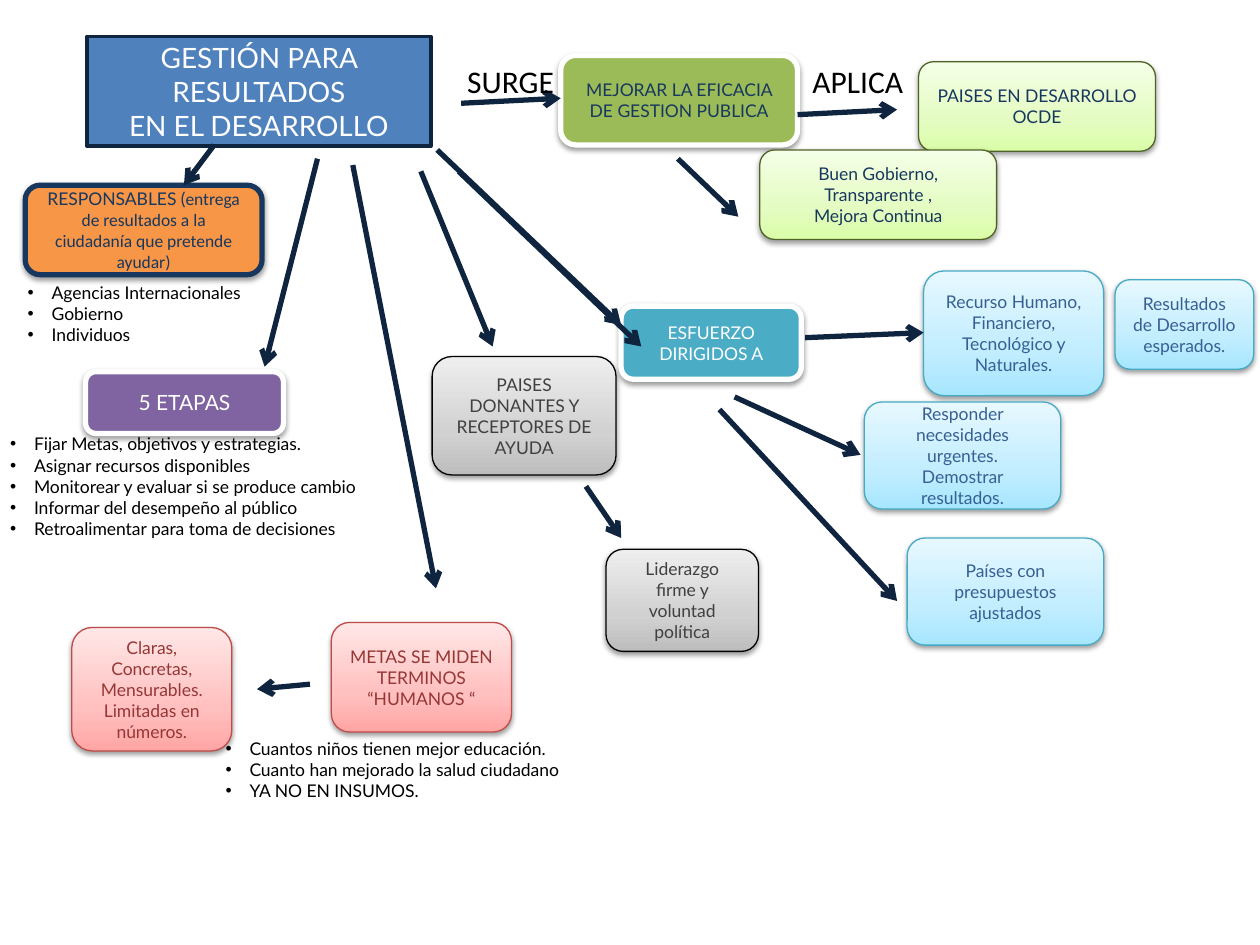
from copy import deepcopy
from dataclasses import dataclass
from typing import NamedTuple

from lxml import etree
from pptx import Presentation
from pptx.dml.color import RGBColor
from pptx.enum.dml import MSO_LINE
from pptx.enum.shapes import MSO_CONNECTOR, MSO_SHAPE
from pptx.enum.text import MSO_ANCHOR, MSO_AUTO_SIZE, PP_ALIGN
from pptx.oxml import parse_xml
from pptx.oxml.ns import nsdecls, qn
from pptx.util import Inches, Pt

ROUNDED = MSO_SHAPE.ROUNDED_RECTANGLE
STRAIGHT = MSO_CONNECTOR.STRAIGHT
SOLID = MSO_LINE.SOLID
MIDDLE, TOP = MSO_ANCHOR.MIDDLE, MSO_ANCHOR.TOP
NO_FIT = MSO_AUTO_SIZE.NONE
CENTER, LEFT = PP_ALIGN.CENTER, PP_ALIGN.LEFT
COMPARISON_LAYOUT = 4


class Style(NamedTuple):
    fill: tuple[str, ...]
    line: str
    width: float
    text: str


@dataclass(frozen=True)
class Theme:
    font: str = "Lato"
    alt_font: str = "Calibri"
    title_size: float = 16
    label_size: float = 18
    stage_size: float = 12
    body_size: float = 10
    ink: str = "000000"
    arrow: str = "0F243E"
    arrow_width: float = 3
    stops: tuple[int, ...] = (0, 35, 100)
    title: Style = Style(("4F81BD",), "0F243E", 2, "FFFFFF")
    orange: Style = Style(("F79646",), "17375E", 3, "17375E")
    olive: Style = Style(("9BBB59",), "FFFFFF", 3, "17375E")
    purple: Style = Style(("8064A2",), "FFFFFF", 3, "FFFFFF")
    teal: Style = Style(("4BACC6",), "FFFFFF", 3, "FFFFFF")
    green: Style = Style(("DAFDA7", "E4FCC2", "F5FFE7"), "4F6228", 0.75, "17375E")
    blue: Style = Style(("A7E6FF", "C1EDFF", "E7F8FF"), "46AAC5", 0.75, "376092")
    red: Style = Style(("FFA6A5", "FFC0BF", "FFE7E7"), "BF4C48", 0.75, "953735")
    gray: Style = Style(("BDBDBD", "D1D1D1", "EEEEEE"), "000000", 0.75, "404040")


T = Theme()


class Box(NamedTuple):
    x: float
    y: float
    w: float
    h: float


class Node(NamedTuple):
    box: Box
    style: Style
    lines: tuple[str, ...]
    size: float = T.body_size


class Arrow(NamedTuple):
    x1: float
    y1: float
    x2: float
    y2: float


class BulletList(NamedTuple):
    idx: int
    box: Box
    items: tuple[str, ...]


TITLE = Node(Box(0.69, 0.29, 2.73, 0.87), T.title,
             ("GESTIÓN PARA RESULTADOS", "EN EL DESARROLLO"), T.title_size)
RESPONSIBLE = Node(Box(0.2, 1.47, 1.88, 0.71), T.orange, ("RESPONSABLES (",))
RESPONSIBLE_DETAIL = "entrega de resultados a la ciudadanía que pretende ayudar)"

NODES = (
    Node(Box(4.45, 0.44, 1.88, 0.71), T.olive, ("MEJORAR LA EFICACIA DE GESTION PUBLICA",)),
    Node(Box(7.29, 0.49, 1.88, 0.71), T.green, ("PAISES EN DESARROLLO", "OCDE")),
    Node(Box(6.03, 1.19, 1.88, 0.71), T.green,
         ("Buen Gobierno, Transparente ,", "Mejora Continua")),
    Node(Box(0.68, 2.95, 1.57, 0.49), T.purple, ("5 ETAPAS",), T.stage_size),
    Node(Box(4.93, 2.43, 1.43, 0.58), T.teal, ("ESFUERZO DIRIGIDOS A",)),
    Node(Box(7.33, 2.15, 1.43, 0.99), T.blue,
         ("Recurso Humano, Financiero, Tecnológico y Naturales.",)),
    Node(Box(8.85, 2.22, 1.1, 0.71), T.blue, ("Resultados de Desarrollo esperados.",)),
    Node(Box(6.86, 3.19, 1.56, 0.85), T.blue,
         ("Responder necesidades urgentes.", "Demostrar resultados.")),
    Node(Box(7.2, 4.27, 1.56, 0.85), T.blue, ("Países con presupuestos ajustados",)),
    Node(Box(2.63, 4.94, 1.43, 0.87), T.red, ("METAS SE MIDEN TERMINOS “HUMANOS “",)),
    Node(Box(0.57, 4.98, 1.27, 0.98), T.red,
         ("Claras, Concretas, Mensurables.", "Limitadas en números.")),
    Node(Box(3.43, 2.83, 1.46, 0.94), T.gray, ("PAISES DONANTES Y RECEPTORES DE AYUDA",)),
    Node(Box(4.81, 4.36, 1.21, 0.81), T.gray, ("Liderazgo firme y voluntad política",)),
)

ARROWS = (
    Arrow(1.7, 1.15, 1.46, 1.47), Arrow(3.66, 0.82, 4.45, 0.78),
    Arrow(6.33, 0.91, 7.12, 0.87), Arrow(2.52, 1.26, 2.1, 2.91),
    Arrow(3.47, 1.19, 4.93, 2.58), Arrow(6.39, 2.68, 7.33, 2.64),
    Arrow(2.8, 1.31, 3.46, 4.67), Arrow(2.46, 5.43, 2.04, 5.47),
    Arrow(5.38, 1.26, 5.86, 1.72), Arrow(5.83, 3.15, 6.83, 3.61),
    Arrow(5.71, 3.25, 7.12, 4.77), Arrow(3.34, 1.36, 3.91, 2.75),
    Arrow(3.64, 1.36, 5.09, 2.75), Arrow(4.65, 3.86, 4.93, 4.27),
)

LABELS = (("SURGE", Box(3.61, 0.44, 0.9, 0.4)), ("APLICA", Box(6.35, 0.44, 0.93, 0.4)))

LISTS = (
    BulletList(1, Box(0.12, 2.19, 2.18, 0.61),
               ("Agencias Internacionales", "Gobierno", "Individuos")),
    BulletList(2, Box(-0.02, 3.39, 3.37, 0.94),
               ("Fijar Metas, objetivos y estrategias.", "Asignar recursos disponibles",
                "Monitorear y evaluar si se produce cambio",
                "Informar del desempeño al público",
                "Retroalimentar para toma de decisiones")),
    BulletList(4, Box(1.69, 5.81, 3.29, 0.61),
               ("Cuantos niños tienen mejor educación.",
                "Cuanto han mejorado la salud ciudadano", "YA NO EN INSUMOS.")),
)


def assign(obj, values: dict) -> None:
    for name, value in values.items():
        setattr(obj, name, value)


def place(sp, box: Box) -> None:
    assign(sp, dict(zip(("left", "top", "width", "height"), map(Inches, box))))


def add_run(p, text: str, size: float, color: str, font: str = T.font) -> None:
    r = p.add_run()
    r.text = text
    assign(r.font, {"name": font, "size": Pt(size), "bold": False})
    r.font.color.rgb = RGBColor.from_string(color)


def write(sp, lines: tuple[str, ...], size: float, color: str, align=CENTER,
          anchor=MIDDLE, font: str = T.font, wrap: bool = True, bullet: bool = False) -> None:
    tf = sp.text_frame
    assign(tf, {"auto_size": NO_FIT, "word_wrap": wrap, "vertical_anchor": anchor})
    for i, line in enumerate(lines):
        p = tf.add_paragraph() if i else tf.paragraphs[0]
        if bullet:
            pPr = p._p.get_or_add_pPr()
            pPr.set("marL", str(Inches(0.19)))
            pPr.set("indent", str(-Inches(0.19)))
            etree.SubElement(pPr, qn("a:buFont")).set("typeface", "Arial")
            etree.SubElement(pPr, qn("a:buChar")).set("char", "•")
        assign(p, {"alignment": align, "space_before": Pt(0)})
        add_run(p, line, size, color, font)


def paint(sp, style: Style) -> None:
    if len(style.fill) == 1:
        sp.fill.solid()
        sp.fill.fore_color.rgb = RGBColor.from_string(style.fill[0])
    else:
        sp.fill.gradient()
        sp.fill.gradient_angle = 90
        stops = sp._element.spPr.find(".//" + qn("a:gsLst"))
        stops.append(deepcopy(stops[0]))
        for stop, position, color in zip(sp.fill.gradient_stops, T.stops, style.fill):
            stop.position = position / 100
            stop.color.rgb = RGBColor.from_string(color)
    sp.line.color.rgb = RGBColor.from_string(style.line)
    sp.line.width = Pt(style.width)


def add_node(slide, node: Node):
    sp = slide.shapes.add_shape(ROUNDED, *map(Inches, node.box))
    paint(sp, node.style)
    sp.shadow.inherit = False
    sp._element.spPr.find(qn("a:effectLst")).append(parse_xml(
        f'<a:outerShdw {nsdecls("a")} blurRad="{Pt(3.1)}" dist="{Pt(1.6)}" dir="5400000" '
        'rotWithShape="0"><a:srgbClr val="000000"><a:alpha val="38000"/></a:srgbClr>'
        '</a:outerShdw>'))
    write(sp, node.lines, node.size, node.style.text)
    return sp


def add_arrow(slide, arrow: Arrow) -> None:
    c = slide.shapes.add_connector(STRAIGHT, *map(Inches, arrow))
    c.line.color.rgb = RGBColor.from_string(T.arrow)
    assign(c.line, {"width": Pt(T.arrow_width), "dash_style": SOLID})
    spPr = c._element.spPr
    etree.SubElement(spPr.find(qn("a:ln")), qn("a:tailEnd")).set("type", "arrow")
    etree.SubElement(spPr, qn("a:effectLst"))


def fill_title(slide) -> None:
    sp = slide.shapes.title
    place(sp, TITLE.box)
    sp._element.spPr.append(parse_xml(
        f'<a:prstGeom {nsdecls("a")} prst="roundRect"><a:avLst/></a:prstGeom>'))
    paint(sp, TITLE.style)
    write(sp, TITLE.lines, TITLE.size, TITLE.style.text)


def fill_list(slide, spec_list: BulletList) -> None:
    sp = next(s for s in slide.placeholders if s.placeholder_format.idx == spec_list.idx)
    place(sp, spec_list.box)
    write(sp, spec_list.items, T.body_size, T.ink, LEFT, TOP, bullet=True)
    slide.shapes._spTree.append(sp._element)


def main() -> None:
    prs = Presentation()
    assign(prs, {"slide_width": Inches(10), "slide_height": Inches(7.5)})
    slide = prs.slides.add_slide(prs.slide_layouts[COMPARISON_LAYOUT])
    fill_title(slide)
    sp = add_node(slide, RESPONSIBLE)
    add_run(sp.text_frame.paragraphs[0], RESPONSIBLE_DETAIL, T.body_size,
            RESPONSIBLE.style.text, T.alt_font)
    for node in NODES:
        add_node(slide, node)
    for arrow in ARROWS:
        add_arrow(slide, arrow)
    for text, box in LABELS:
        label = slide.shapes.add_textbox(*map(Inches, box))
        write(label, (text,), T.label_size, T.ink, LEFT, TOP, T.alt_font, wrap=False)
    for bullets in LISTS:
        fill_list(slide, bullets)
    for s in list(slide.placeholders):
        if not s.text_frame.text:
            s._element.getparent().remove(s._element)
    prs.save("out.pptx")


if __name__ == "__main__":
    main()
